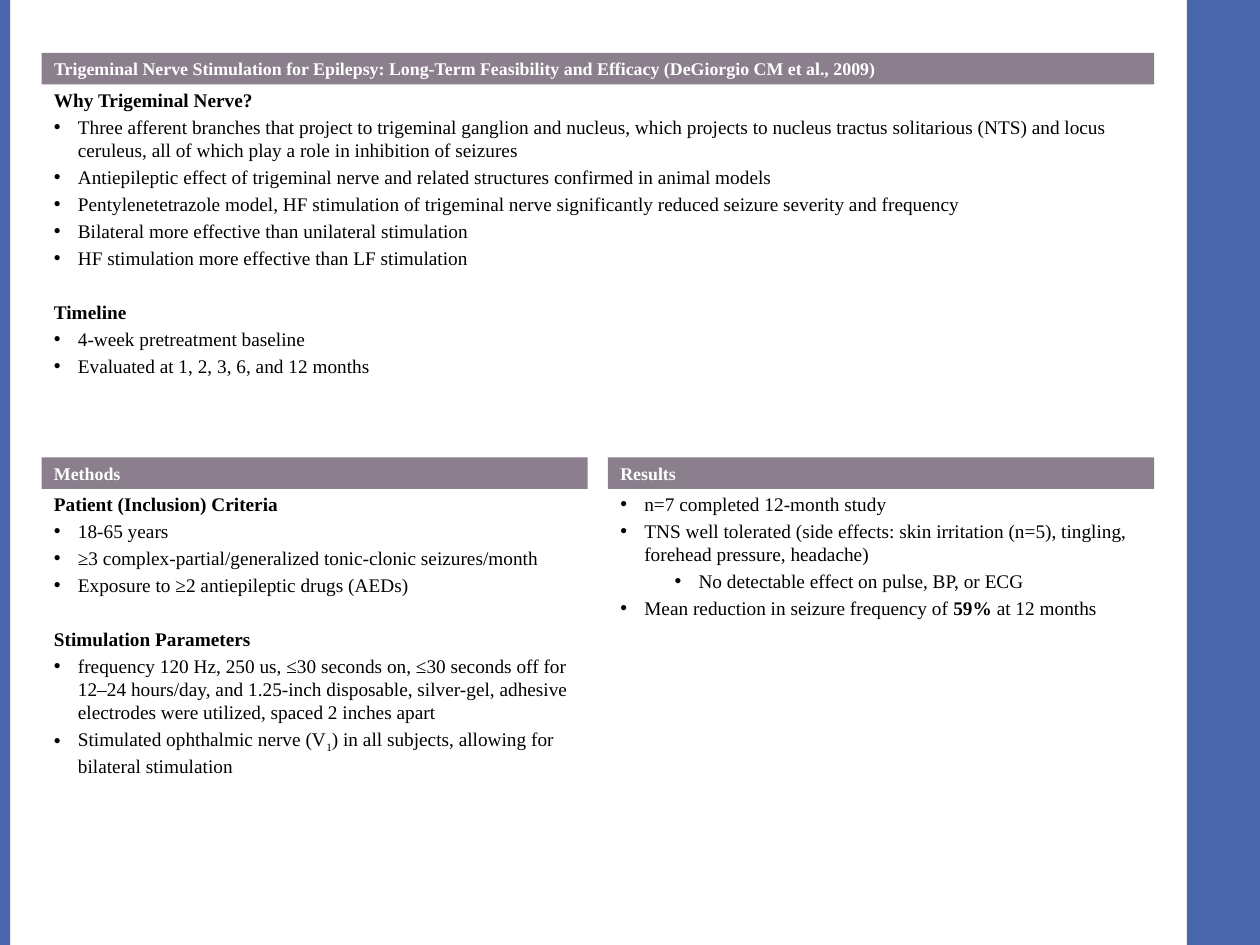
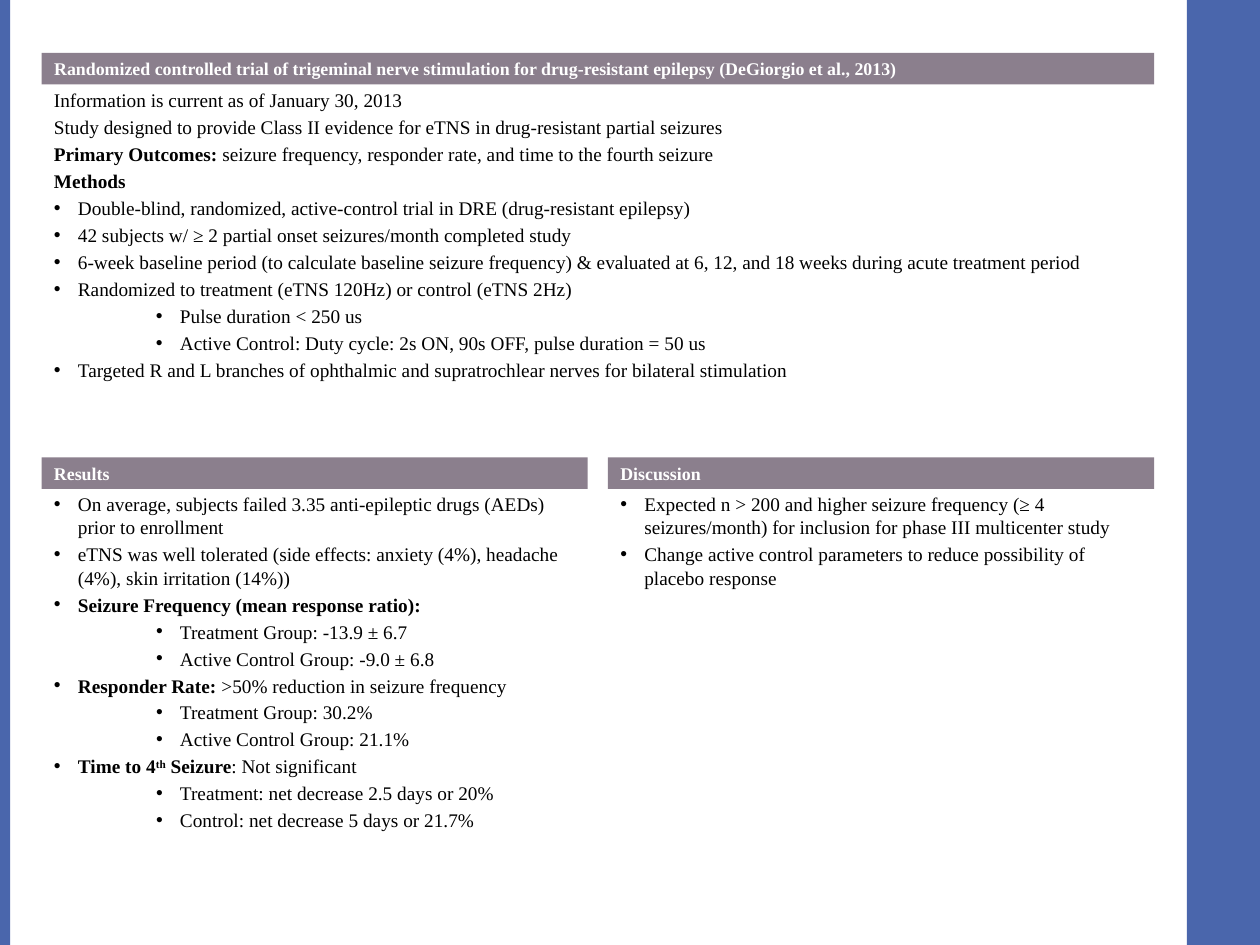
from dataclasses import dataclass

from lxml.etree import SubElement
from pptx import Presentation
from pptx.dml.color import RGBColor
from pptx.enum.shapes import MSO_SHAPE as Shape
from pptx.enum.text import MSO_ANCHOR as Anchor, MSO_AUTO_SIZE as AutoSize, PP_ALIGN as Align
from pptx.oxml.ns import qn
from pptx.util import Inches, Pt

BLUE = RGBColor(0x4A, 0x66, 0xAC)
MAUVE = RGBColor(0x8B, 0x7F, 0x8D)
WHITE = RGBColor(0xFF, 0xFF, 0xFF)
BLACK = RGBColor(0x00, 0x00, 0x00)
FONT = "Times New Roman"
BODY_SIZE = 11
HEADER_SIZE = 10.2
SPACE_RATIO = 0.2
SECTION_GAP = 15.4

PAGE_WIDTH, PAGE_HEIGHT = 10, 7.5
MARGIN = 0.33
CONTENT_WIDTH = 8.83
GUTTER = 0.16
COLUMN_WIDTH = (CONTENT_WIDTH - GUTTER) / 2
HEADER_HEIGHT = 0.25
BODY_HEIGHT = 2.96
TOP_ROW = 0.42
BOTTOM_ROW = TOP_ROW + HEADER_HEIGHT + BODY_HEIGHT
HANG = 0.19


@dataclass(frozen=True)
class Span:
    text: str
    bold: bool = False
    baseline: int = 0


@dataclass(frozen=True)
class Line:
    spans: tuple
    indent: float = 0
    level: int = 0
    gap_above: float = 0


@dataclass(frozen=True)
class Panel:
    header: str
    lines: list


@dataclass(frozen=True)
class Study:
    summary: Panel
    left: Panel
    right: Panel


def plain(*parts, **layout) -> Line:
    return Line(tuple(Span(part) if isinstance(part, str) else part for part in parts), **layout)


def heading(text: str, gap_above: float = 0) -> Line:
    return plain(Span(text, bold=True), gap_above=gap_above)


def bullet(*parts) -> Line:
    return plain(*parts, indent=HANG)


def sub_bullet(text: str, indent: float = 1, level: int = 1) -> Line:
    return plain(text, indent=indent, level=level)


def write_text(paragraph, text: str, *, size: float, color: RGBColor,
               bold: bool = False, baseline: int = 0) -> None:
    run = paragraph.add_run()
    run.text = text
    run.font.name = FONT
    run.font.size = Pt(size)
    run.font.bold = bold
    run.font.color.rgb = color
    if baseline:
        run._r.get_or_add_rPr().set("baseline", str(baseline * 1000))


def add_bullet(paragraph, indent: float) -> None:
    properties = paragraph._p.get_or_add_pPr()
    properties.set("marL", str(Inches(indent)))
    properties.set("indent", str(Inches(-HANG)))
    SubElement(properties, qn("a:buFont")).set("typeface", "Arial")
    SubElement(properties, qn("a:buChar")).set("char", "•")


def set_frame(frame, anchor: Anchor, inset: float) -> None:
    frame.auto_size = AutoSize.NONE
    frame.word_wrap = True
    frame.vertical_anchor = anchor
    frame.margin_left = frame.margin_right = Inches(0.1)
    frame.margin_top = frame.margin_bottom = Inches(inset)


def place(shape, left: float, top: float, width: float, height: float) -> None:
    shape.left, shape.top = Inches(left), Inches(top)
    shape.width, shape.height = Inches(width), Inches(height)


def add_block(slide, left: float, top: float, width: float, height: float, color: RGBColor):
    block = slide.shapes.add_shape(
        Shape.RECTANGLE, Inches(left), Inches(top), Inches(width), Inches(height))
    block.shadow.inherit = False
    block.fill.solid()
    block.fill.fore_color.rgb = color
    block.line.fill.background()
    return block


def write_header(band, text: str) -> None:
    set_frame(band.text_frame, Anchor.MIDDLE, 0)
    paragraph = band.text_frame.paragraphs[0]
    paragraph.alignment = Align.LEFT
    paragraph.space_before = Pt(HEADER_SIZE * SPACE_RATIO)
    write_text(paragraph, text, size=HEADER_SIZE, color=WHITE, bold=True)


def add_body(slide, lines: list, left: float, top: float, width: float) -> None:
    body = slide.shapes.add_textbox(
        Inches(left), Inches(top), Inches(width), Inches(BODY_HEIGHT))
    frame = body.text_frame
    set_frame(frame, Anchor.TOP, 0.03)
    for number, line in enumerate(lines):
        paragraph = frame.add_paragraph() if number else frame.paragraphs[0]
        paragraph.level = line.level
        paragraph.space_before = Pt(BODY_SIZE * SPACE_RATIO + line.gap_above)
        if line.indent:
            add_bullet(paragraph, line.indent)
        for span in line.spans:
            write_text(paragraph, span.text, size=BODY_SIZE, color=BLACK,
                       bold=span.bold, baseline=span.baseline)


def add_study(deck, study: Study) -> None:
    slide = deck.slides.add_slide(deck.slide_layouts[5])
    add_block(slide, 9.42, 0, 0.58, PAGE_HEIGHT, BLUE)
    add_block(slide, 0, 0, 0.08, PAGE_HEIGHT, BLUE)

    title = slide.shapes.title
    place(title, MARGIN, TOP_ROW, CONTENT_WIDTH, HEADER_HEIGHT)
    title.fill.solid()
    title.fill.fore_color.rgb = MAUVE
    write_header(title, study.summary.header)
    add_body(slide, study.summary.lines, MARGIN, TOP_ROW + HEADER_HEIGHT, CONTENT_WIDTH)

    for column, panel in enumerate((study.left, study.right)):
        left = MARGIN + column * (COLUMN_WIDTH + GUTTER)
        band = add_block(slide, left, BOTTOM_ROW, COLUMN_WIDTH, HEADER_HEIGHT, MAUVE)
        write_header(band, panel.header)
        add_body(slide, panel.lines, left, BOTTOM_ROW + HEADER_HEIGHT, COLUMN_WIDTH)


FEASIBILITY = Study(
    summary=Panel(
        "Trigeminal Nerve Stimulation for Epilepsy: Long-Term Feasibility and Efficacy "
        "(DeGiorgio CM et al., 2009)",
        [
            heading("Why Trigeminal Nerve?"),
            bullet("Three afferent branches that project to trigeminal ganglion and nucleus, "
                   "which projects to nucleus tractus solitarious (NTS) and locus ceruleus, "
                   "all of which play a role in inhibition of seizures"),
            bullet("Antiepileptic effect of trigeminal nerve and related structures "
                   "confirmed in animal models"),
            bullet("Pentylenetetrazole model, HF stimulation of trigeminal nerve "
                   "significantly reduced seizure severity and frequency"),
            bullet("Bilateral more effective than unilateral stimulation"),
            bullet("HF stimulation more effective than LF stimulation"),
            heading("Timeline", gap_above=SECTION_GAP),
            bullet("4-week pretreatment baseline"),
            bullet("Evaluated at 1, 2, 3, 6, and 12 months"),
        ]),
    left=Panel("Methods", [
        heading("Patient (Inclusion) Criteria"),
        bullet("18-65 years"),
        bullet("≥3 complex-partial/generalized tonic-clonic seizures/month"),
        bullet("Exposure to ≥2 antiepileptic drugs (AEDs)"),
        heading("Stimulation Parameters", gap_above=SECTION_GAP),
        bullet("frequency 120 Hz, 250 us, ≤30 seconds on, ≤30 seconds off for 12–24 hours/day, "
               "and 1.25-inch disposable, silver-gel, adhesive electrodes were utilized, "
               "spaced 2 inches apart"),
        bullet("Stimulated ophthalmic nerve (V", Span("1", baseline=-25),
               ") in all subjects, allowing for bilateral stimulation"),
    ]),
    right=Panel("Results", [
        bullet("n=7 completed 12-month study"),
        bullet("TNS well tolerated (side effects: skin irritation (n=5), tingling, "
               "forehead pressure, headache)"),
        sub_bullet("No detectable effect on pulse, BP, or ECG", indent=0.62, level=2),
        bullet("Mean reduction in seizure frequency of ", Span("59%", bold=True),
               " at 12 months"),
    ]))

CONTROLLED_TRIAL = Study(
    summary=Panel(
        "Randomized controlled trial of trigeminal nerve stimulation for drug-resistant "
        "epilepsy (DeGiorgio et al., 2013)",
        [
            plain("Information is current as of January 30, 2013"),
            plain("Study designed to provide Class II evidence for eTNS in "
                  "drug-resistant partial seizures"),
            plain(Span("Primary Outcomes:", bold=True),
                  " seizure frequency, responder rate, and time to the fourth seizure"),
            heading("Methods"),
            bullet("Double-blind, randomized, active-control trial in DRE "
                   "(drug-resistant epilepsy)"),
            bullet("42 subjects w/ ≥ 2 partial onset seizures/month completed study"),
            bullet("6-week baseline period (to calculate baseline seizure frequency) & "
                   "evaluated at 6, 12, and 18 weeks during acute treatment period"),
            bullet("Randomized to treatment (eTNS 120Hz) or control (eTNS 2Hz)"),
            sub_bullet("Pulse duration < 250 us"),
            sub_bullet("Active Control: Duty cycle: 2s ON, 90s OFF, pulse duration = 50 us"),
            bullet("Targeted R and L branches of ophthalmic and supratrochlear nerves "
                   "for bilateral stimulation"),
        ]),
    left=Panel("Results", [
        bullet("On average, subjects failed 3.35 anti-epileptic drugs (AEDs) "
               "prior to enrollment"),
        bullet("eTNS was well tolerated (side effects: anxiety (4%), headache (4%), "
               "skin irritation (14%))"),
        bullet(Span("Seizure Frequency (mean response ratio):", bold=True)),
        sub_bullet("Treatment Group: -13.9 ± 6.7"),
        sub_bullet("Active Control Group: -9.0 ± 6.8"),
        bullet(Span("Responder Rate:", bold=True), " >50% reduction in seizure frequency"),
        sub_bullet("Treatment Group: 30.2%"),
        sub_bullet("Active Control Group: 21.1%"),
        bullet(Span("Time to 4", bold=True), Span("th", bold=True, baseline=30),
               Span(" Seizure", bold=True), ": Not significant"),
        sub_bullet("Treatment: net decrease 2.5 days or 20%"),
        sub_bullet("Control: net decrease 5 days or 21.7%"),
    ]),
    right=Panel("Discussion", [
        bullet("Expected n > 200 and higher seizure frequency (≥ 4 seizures/month) "
               "for inclusion for phase III multicenter study"),
        bullet("Change active control parameters to reduce possibility of placebo response"),
    ]))


def main() -> None:
    deck = Presentation()
    deck.slide_width, deck.slide_height = Inches(PAGE_WIDTH), Inches(PAGE_HEIGHT)
    for study in (FEASIBILITY, CONTROLLED_TRIAL):
        add_study(deck, study)
    deck.save("out.pptx")


if __name__ == "__main__":
    main()
